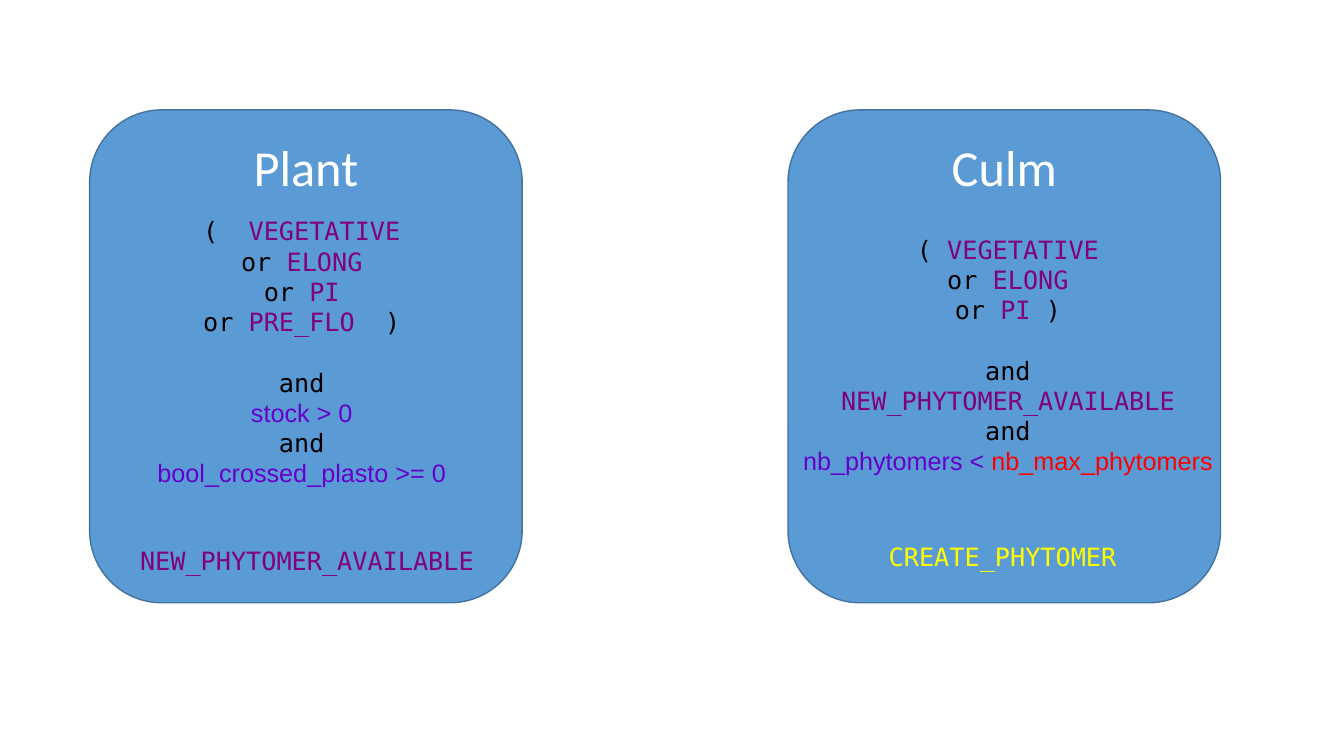
from dataclasses import dataclass

from pptx import Presentation
from pptx.dml.color import RGBColor
from pptx.enum.shapes import MSO_SHAPE
from pptx.enum.text import MSO_ANCHOR, PP_ALIGN
from pptx.util import Cm, Pt

ROUNDED = MSO_SHAPE.ROUNDED_RECTANGLE
TOP, MIDDLE = MSO_ANCHOR.TOP, MSO_ANCHOR.MIDDLE
CENTER = PP_ALIGN.CENTER
BLANK_LAYOUT = 6


@dataclass(frozen=True)
class Theme:
    card: str = "5B9BD5"
    outline: str = "43739E"
    title_size: int = 36
    code_size: int = 18
    line_gap: float = 21.6


THEME = Theme()
STYLES = {
    "title": ("Calibri", "FFFFFF"),
    "word": ("DejaVu Sans Mono", "000000"),
    "state": ("DejaVu Sans Mono", "800080"),
    "action": ("DejaVu Sans Mono", "FFFF00"),
    "variable": ("Arial", "6600CC"),
    "limit": ("Arial", "FF0000"),
}

AND = [("and", "word")]
OR_ELONG = [("or", "word"), (" ELONG", "state")]
NEW_PHYTOMER = [("NEW_PHYTOMER_AVAILABLE", "state")]

CARDS = [
    {
        "title": "Plant",
        "left": 2.26,
        "states": [
            [("(  ", "word"), ("VEGETATIVE", "state")],
            OR_ELONG,
            [("or", "word"), (" PI", "state")],
            [("or", "word"), (" PRE_FLO  ", "state"), (")", "word")],
        ],
        "tests": [
            AND,
            [("stock > 0", "variable")],
            AND,
            [("bool_crossed_plasto >= 0", "variable")],
        ],
        "rule_area": (3.35, 5.31, 8.51, 7.19),
        "result": NEW_PHYTOMER,
        "result_area": (2.82, 13.74, 9.83, 0.76),
    },
    {
        "title": "Culm",
        "left": 19.86,
        "states": [
            [("( ", "word"), ("VEGETATIVE", "state")],
            OR_ELONG,
            [("or", "word"), (" PI ", "state"), (")", "word")],
        ],
        "tests": [
            AND,
            NEW_PHYTOMER,
            AND,
            [("nb_phytomers < ", "variable"), ("nb_max_phytomers", "limit")],
        ],
        "rule_area": (19.23, 5.77, 12.34, 6.4),
        "result": [("CREATE_PHYTOMER", "action")],
        "result_area": (20.35, 13.64, 9.83, 0.76),
    },
]
CARD_TOP, CARD_WIDTH, CARD_HEIGHT = 2.77, 10.9, 12.42


def write(shape, lines, size=THEME.code_size, anchor=TOP, inset=None, gap_at=None):
    frame = shape.text_frame
    frame.word_wrap = True
    frame.vertical_anchor = anchor
    if inset is not None:
        frame.margin_left = frame.margin_right = Cm(inset)
        frame.margin_top = frame.margin_bottom = Cm(inset)
    for index, line in enumerate(lines):
        para = frame.paragraphs[0] if index == 0 else frame.add_paragraph()
        para.alignment = CENTER
        if index == gap_at:
            para.space_before = Pt(THEME.line_gap)
        for text, style in line:
            span = para.add_run()
            span.text = text
            span.font.name, color = STYLES[style]
            span.font.size = Pt(size)
            span.font.color.rgb = RGBColor.from_string(color)


def add_card(page, card):
    area = (card["left"], CARD_TOP, CARD_WIDTH, CARD_HEIGHT)
    panel = page.shapes.add_shape(ROUNDED, *map(Cm, area))
    panel.shadow.inherit = False
    panel.fill.solid()
    panel.fill.fore_color.rgb = RGBColor.from_string(THEME.card)
    panel.line.color.rgb = RGBColor.from_string(THEME.outline)
    panel.line.width = Pt(1)
    write(panel, [[(card["title"], "title")]], size=THEME.title_size)

    rule = page.shapes.add_textbox(*map(Cm, card["rule_area"]))
    write(rule, card["states"] + card["tests"], gap_at=len(card["states"]))

    result = page.shapes.add_textbox(*map(Cm, card["result_area"]))
    write(result, [card["result"]], anchor=MIDDLE, inset=0)


deck = Presentation()
deck.slide_width, deck.slide_height = Cm(33.87), Cm(19.05)
page = deck.slides.add_slide(deck.slide_layouts[BLANK_LAYOUT])
for card in CARDS:
    add_card(page, card)
deck.save("out.pptx")
